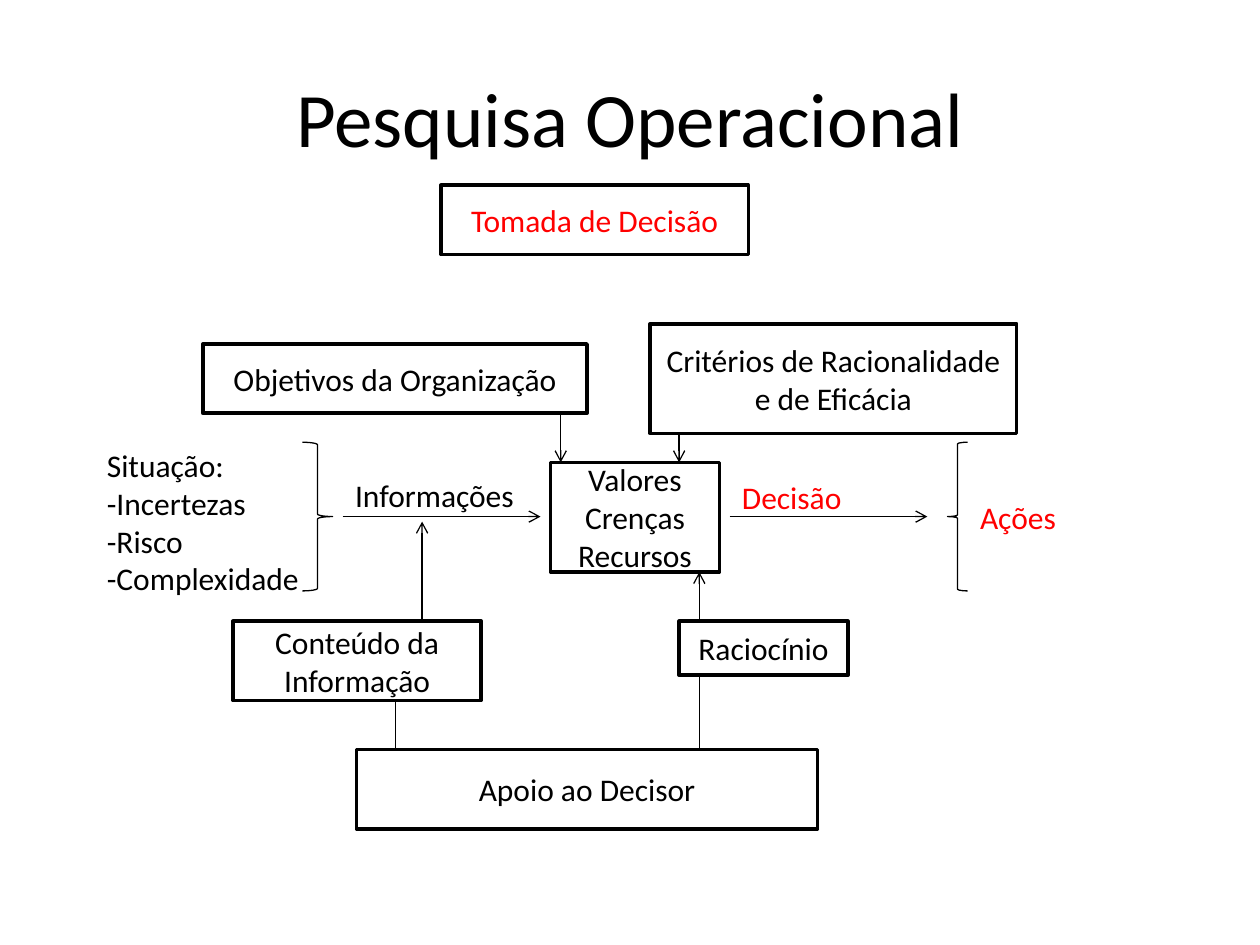
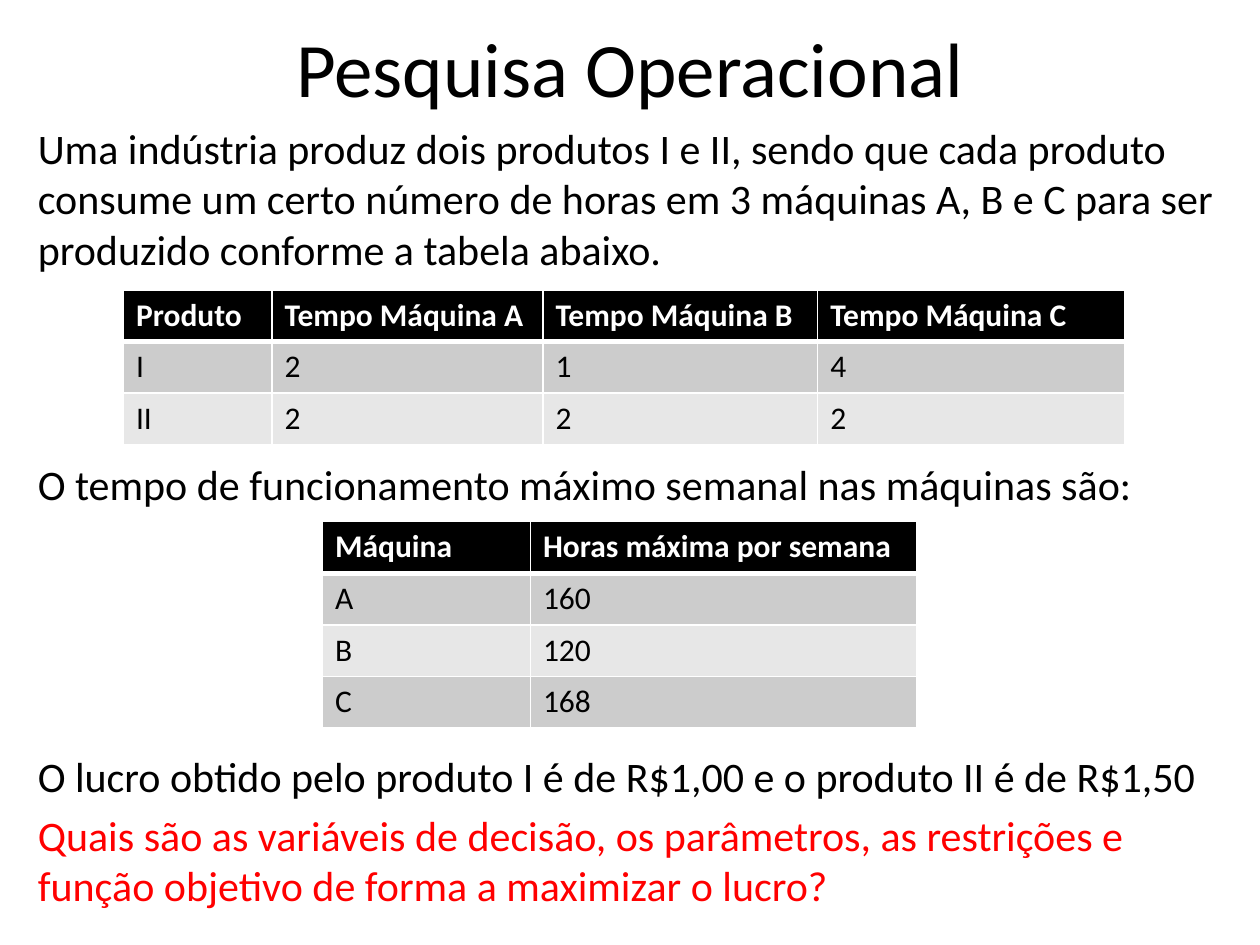
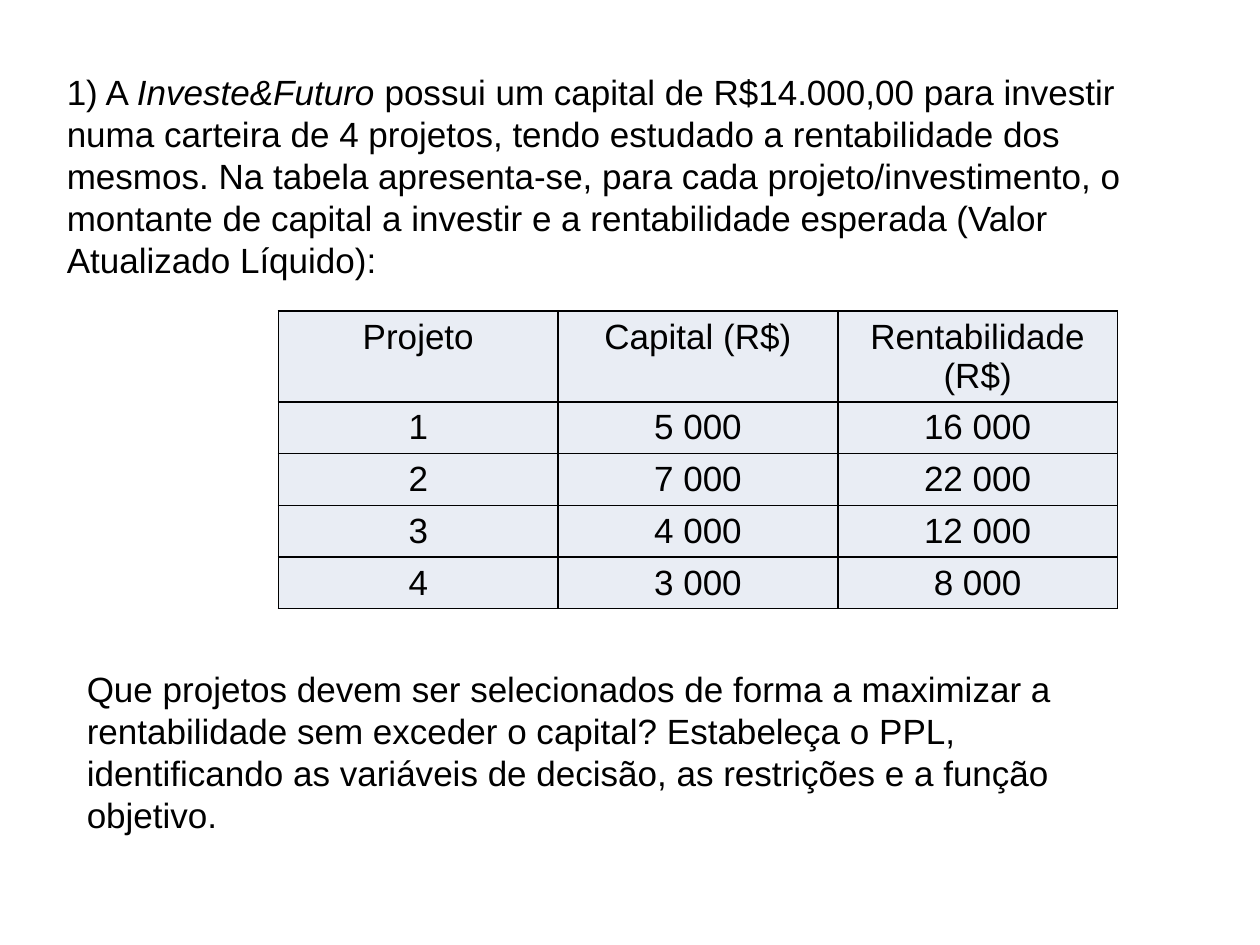
from lxml import etree
from pptx import Presentation
from pptx.dml.color import RGBColor
from pptx.enum.shapes import MSO_CONNECTOR, MSO_SHAPE
from pptx.enum.text import MSO_ANCHOR, MSO_AUTO_SIZE, PP_ALIGN
from pptx.oxml.ns import qn
from pptx.util import Pt

PX = 9144  # 100 px to the inch
BLACK = RGBColor(0x00, 0x00, 0x00)
WHITE = RGBColor(0xFF, 0xFF, 0xFF)
RED = RGBColor(0xFF, 0x00, 0x00)
DARK_BAND = RGBColor(0xCC, 0xCC, 0xCC)
LIGHT_BAND = RGBColor(0xE7, 0xE7, 0xE7)
PALE_BLUE = RGBColor(0xE9, 0xED, 0xF4)
LEFT, CENTER = PP_ALIGN.LEFT, PP_ALIGN.CENTER
MIDDLE = MSO_ANCHOR.MIDDLE
NO_AUTOFIT = MSO_AUTO_SIZE.NONE
RECTANGLE = MSO_SHAPE.RECTANGLE
LEFT_BRACE, RIGHT_BRACE = MSO_SHAPE.LEFT_BRACE, MSO_SHAPE.RIGHT_BRACE
STRAIGHT = MSO_CONNECTOR.STRAIGHT
TITLE = "Pesquisa Operacional"


def format_paragraph(paragraph, font_name, size, color=BLACK, align=LEFT):
    paragraph.alignment = align
    paragraph.font.name = font_name
    paragraph.font.size = Pt(size)
    paragraph.font.color.rgb = color


def add_grid(slide, left, top, widths, heights, rows, fills, border, header_border,
             font_name, size, header_color, align, side_margin):
    """Add a table; fills holds the header fill, then the row fills to cycle."""
    frame = slide.shapes.add_table(len(rows), len(widths), left * PX, top * PX,
                                   sum(widths) * PX, sum(heights) * PX)
    table = frame.table
    table.first_row = table.horz_banding = False
    for column, width in zip(table.columns, widths):
        column.width = width * PX
    for row_index, values in enumerate(rows):
        table.rows[row_index].height = heights[row_index] * PX
        is_header = row_index == 0
        fill = fills[0] if is_header else fills[1 + (row_index - 1) % (len(fills) - 1)]
        # The edge under the header belongs to both rows that touch it
        edges = {"lnL": 1, "lnR": 1,
                 "lnT": header_border if row_index == 1 else 1,
                 "lnB": header_border if is_header else 1}
        for column_index, value in enumerate(values):
            cell = table.cell(row_index, column_index)
            cell.margin_left = cell.margin_right = side_margin * PX
            cell.text = value
            paragraph = cell.text_frame.paragraphs[0]
            format_paragraph(paragraph, font_name, size,
                             header_color if is_header else BLACK, align)
            paragraph.font.bold = is_header and header_color == WHITE
            properties = cell._tc.get_or_add_tcPr()
            for tag, width in edges.items():
                line = etree.SubElement(properties, qn("a:" + tag), w=str(Pt(width)))
                solid = etree.SubElement(line, qn("a:solidFill"))
                etree.SubElement(solid, qn("a:srgbClr"), val=str(border))
            cell.fill.solid()
            cell.fill.fore_color.rgb = fill


presentation = Presentation()
presentation.slide_width = 1000 * PX
presentation.slide_height = 750 * PX
content_layout = presentation.slide_layouts[1]
title_layout = presentation.slide_layouts[5]

# Slides and their shared titles
decision_slide = presentation.slides.add_slide(title_layout)
production_slide = presentation.slides.add_slide(content_layout)
investment_slide = presentation.slides.add_slide(content_layout)
for slide, top, height in [(decision_slide, 30, 125), (production_slide, 6, 94)]:
    title = slide.shapes.title
    title.left, title.top, title.width, title.height = 50 * PX, top * PX, 900 * PX, height * PX
    title.text_frame.text = TITLE
    title.text_frame.auto_size = NO_AUTOFIT
    format_paragraph(title.text_frame.paragraphs[0], "Calibri", 44, align=CENTER)
investment_title = investment_slide.shapes.title._element
investment_title.getparent().remove(investment_title)

# Slide 1: boxes of the decision diagram
boxes = [
    ("Tomada de Decisão", 350, 147, 244, 55, RED),
    ("Objetivos da Organização", 161, 273, 305, 55, BLACK),
    ("Critérios de Racionalidade e de Eficácia", 516, 257, 291, 87, BLACK),
    ("Valores\nCrenças\nRecursos", 437, 367, 134, 87, BLACK),
    ("Raciocínio", 539, 493, 134, 43, BLACK),
    ("Conteúdo da Informação", 185, 493, 197, 63, BLACK),
    ("Apoio ao Decisor", 283, 595, 366, 63, BLACK),
]
for text, left, top, width, height, color in boxes:
    box = decision_slide.shapes.add_shape(RECTANGLE, left * PX, top * PX, width * PX, height * PX)
    box.shadow.inherit = False
    box.fill.background()
    box.line.color.rgb = BLACK
    box.line.width = Pt(2)
    box.text_frame.text = text
    box.text_frame.word_wrap = True
    box.text_frame.vertical_anchor = MIDDLE
    for paragraph in box.text_frame.paragraphs:
        format_paragraph(paragraph, "Calibri", 18, color, CENTER)

# Slide 1: free labels
labels = [
    ("Situação:\n-Incertezas\n-Risco\n-Complexidade", 75, 359, 173, 110, BLACK),
    ("Informações", 272, 375, 173, 35, BLACK),
    ("Decisão", 579, 375, 110, 39, RED),
    ("Ações", 768, 391, 110, 39, RED),
]
for text, left, top, width, height, color in labels:
    label = decision_slide.shapes.add_textbox(left * PX, top * PX, width * PX, height * PX)
    label.text_frame.text = text
    label.text_frame.word_wrap = True
    label.text_frame.margin_right = 0
    label.text_frame.vertical_anchor = MIDDLE
    for paragraph in label.text_frame.paragraphs:
        format_paragraph(paragraph, "Calibri", 18, color)

# Slide 1: braces around the process
for kind, left, width in [(RIGHT_BRACE, 240, 24), (LEFT_BRACE, 752, 16)]:
    brace = decision_slide.shapes.add_shape(kind, left * PX, 351 * PX, width * PX, 118 * PX)
    brace.shadow.inherit = False
    brace.fill.background()
    brace.line.color.rgb = BLACK
    brace.line.width = Pt(0.75)

# Slide 1: flow lines, from start to end, with or without an arrowhead
flows = [
    (272, 410, 429, 410, True),
    (445, 328, 445, 367, True),
    (539, 344, 539, 367, True),
    (314, 595, 314, 556, False),
    (555, 595, 555, 536, False),
    (335, 493, 335, 414, True),
    (555, 493, 555, 454, True),
    (579, 410, 736, 410, True),
]
for start_x, start_y, end_x, end_y, has_arrow in flows:
    flow = decision_slide.shapes.add_connector(STRAIGHT, start_x * PX, start_y * PX,
                                               end_x * PX, end_y * PX)
    flow.line.color.rgb = BLACK
    flow.line.width = Pt(0.75)
    if has_arrow:
        etree.SubElement(flow.line._get_or_add_ln(), qn("a:tailEnd"), type="arrow")
    etree.SubElement(flow._element.spPr, qn("a:effectLst"))

# Slide 2: statement, with gaps left for the tables
statement = production_slide.placeholders[1]
statement.left, statement.top, statement.width, statement.height = 20 * PX, 92 * PX, 980 * PX, 685 * PX
statement_lines = [
    ("Uma indústria produz dois produtos I e II, sendo que cada produto consume um certo "
     "número de horas em 3 máquinas A, B e C para ser produzido conforme a tabela abaixo.", 0, BLACK),
    ("O tempo de funcionamento máximo semanal nas máquinas são:", 106, BLACK),
    ("O lucro obtido pelo produto I é de R$1,00 e o produto II é de R$1,50", 138, BLACK),
    ("Quais são as variáveis de decisão, os parâmetros, as restrições e função objetivo "
     "de forma a maximizar o lucro?", 4.8, RED),
]
statement.text_frame.text = "\n".join(line[0] for line in statement_lines)
for paragraph, (_, gap, color) in zip(statement.text_frame.paragraphs, statement_lines):
    format_paragraph(paragraph, "Calibri", 24, color)
    paragraph.space_before = Pt(gap)

# Slide 2: machine times and weekly hours
production_tables = [
    (98, 230, [118, 215, 218, 244],
     [["Produto", "Tempo Máquina A", "Tempo Máquina B", "Tempo Máquina C"],
      ["I", "2", "1", "4"],
      ["II", "2", "2", "2"]]),
    (256, 414, [165, 307],
     [["Máquina", "Horas máxima por semana"], ["A", "160"], ["B", "120"], ["C", "168"]]),
]
for left, top, widths, rows in production_tables:
    add_grid(production_slide, left, top, widths, [41] * len(rows), rows,
             [BLACK, DARK_BAND, LIGHT_BAND], WHITE, 3, "Calibri", 18, WHITE, LEFT, 10)

# Slide 3: exercise text
exercise = investment_slide.placeholders[1]
exercise.left, exercise.top, exercise.width, exercise.height = 43 * PX, 51 * PX, 905 * PX, 636 * PX
paragraph = exercise.text_frame.paragraphs[0]
paragraph.add_run().text = "1) A "
company = paragraph.add_run()
company.text = "Investe&Futuro "
company.font.italic = True
paragraph.add_run().text = (
    "possui um capital de R$14.000,00 para investir numa carteira de 4 projetos, tendo "
    "estudado a rentabilidade dos mesmos. Na tabela apresenta-se, para cada "
    "projeto/investimento, o montante de capital a investir e a rentabilidade esperada "
    "(Valor Atualizado Líquido):")
paragraph.space_before = Pt(0)

# Slide 3: capital and return of each project
add_grid(investment_slide, 221, 247, [222] * 3, [72] + [41] * 4,
         [["Projeto", "Capital (R$)", "Rentabilidade (R$)"],
          ["1", "5 000", "16 000"],
          ["2", "7 000", "22 000"],
          ["3", "4 000", "12 000"],
          ["4", "3 000", "8 000"]],
         [PALE_BLUE, PALE_BLUE], BLACK, 1, "Arial", 20, BLACK, CENTER, 7)

# Slide 3: question
question = investment_slide.shapes.add_textbox(59 * PX, 525 * PX, 829 * PX, 145 * PX)
question.text_frame.word_wrap = True
question.text_frame.text = (
    "Que projetos devem ser selecionados de forma a maximizar a rentabilidade sem exceder "
    "o capital? Estabeleça o PPL, identificando as variáveis de decisão, as restrições e a "
    "função objetivo.")
for shape in (exercise, question):
    paragraph = shape.text_frame.paragraphs[0]
    format_paragraph(paragraph, "Arial", 20)
    paragraph.line_spacing = Pt(24)

# Body placeholders carry plain text, without bullets or shrinking
for body in (statement, exercise):
    body.text_frame.auto_size = NO_AUTOFIT
    for paragraph in body.text_frame.paragraphs:
        properties = paragraph._p.get_or_add_pPr()
        properties.set("marL", "0")
        properties.set("indent", "0")
        bullet = etree.Element(qn("a:buNone"))
        properties.find(qn("a:defRPr")).addprevious(bullet)

presentation.save("out.pptx")
